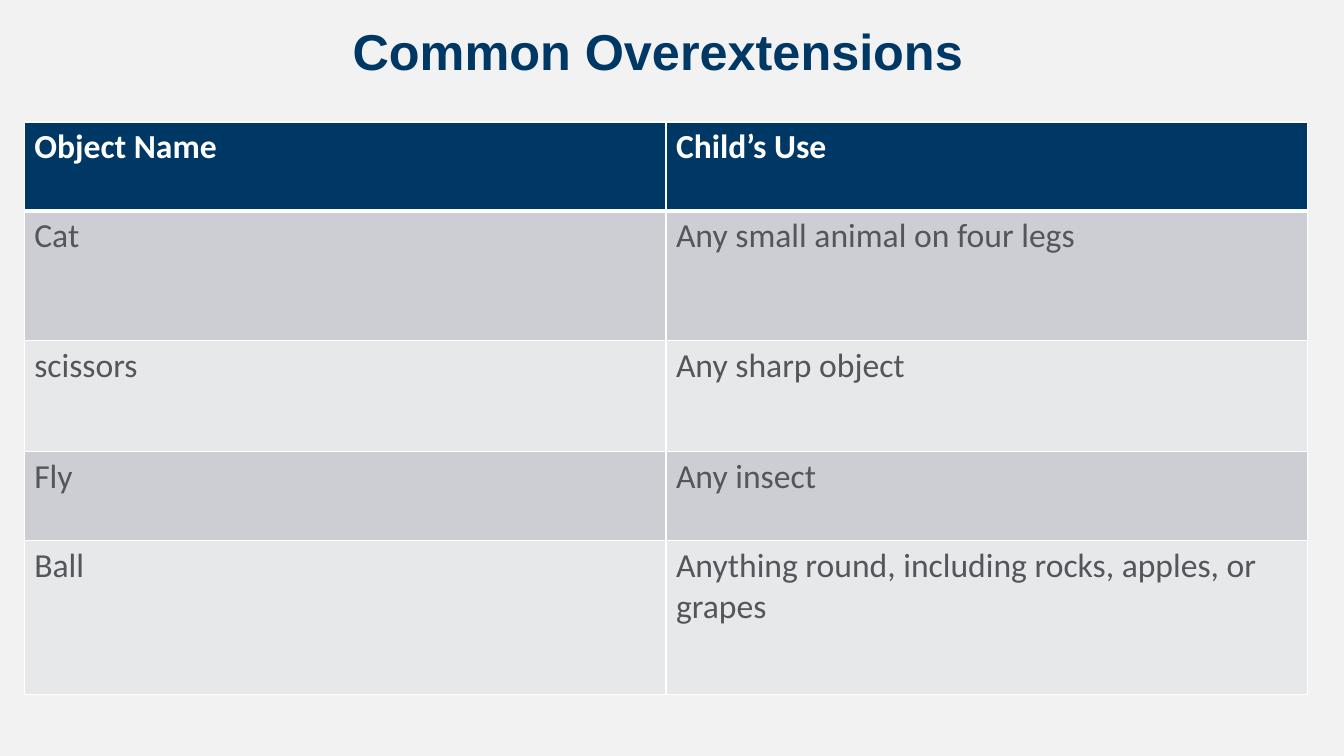
from lxml import etree
from pptx import Presentation
from pptx import util as u
from pptx.dml.color import RGBColor
from pptx.enum import text
from pptx.oxml import ns

NAVY = RGBColor(0x00, 0x38, 0x65)
WHITE = RGBColor(0xFF, 0xFF, 0xFF)
GREY_TEXT = RGBColor(0x53, 0x56, 0x5A)
DARK_BAND = RGBColor(0xCC, 0xCE, 0xD3)
LIGHT_BAND = RGBColor(0xE7, 0xE8, 0xEA)
BACKGROUND = RGBColor(0xF2, 0xF2, 0xF2)

OVEREXTENSIONS = [
    ("Object Name", "Child’s Use"),
    ("Cat", "Any small animal on four legs"),
    ("scissors", "Any sharp object"),
    ("Fly", "Any insect"),
    ("Ball", "Anything round, including rocks, apples, or grapes"),
]
ROW_HEIGHTS = [0.88, 1.29, 1.1, 0.88, 1.53]


def style_font(font, name, size, color, bold):
    font.name = name
    font.size = u.Pt(size)
    font.color.rgb = color
    font.bold = bold


def add_title(slide, left, top, width, height):
    title = slide.shapes.title
    title.left, title.top = u.Inches(left), u.Inches(top)
    title.width, title.height = u.Inches(width), u.Inches(height)
    frame = title.text_frame
    frame.text = "Common Overextensions"
    frame.word_wrap = True
    frame.auto_size = text.MSO_AUTO_SIZE.NONE
    frame.vertical_anchor = text.MSO_ANCHOR.TOP
    paragraph = frame.paragraphs[0]
    paragraph.alignment = text.PP_ALIGN.CENTER
    paragraph.line_spacing = 0.9
    style_font(paragraph.runs[0].font, "Arial", 36, NAVY, True)


def set_borders(cell, widths):
    properties = cell._tc.get_or_add_tcPr()
    for side, width in widths.items():
        line = etree.SubElement(properties, ns.qn(f"a:ln{side}"), w=str(u.Pt(width)))
        fill = etree.SubElement(line, ns.qn("a:solidFill"))
        etree.SubElement(fill, ns.qn("a:srgbClr"), val=str(WHITE))


def add_overextension_table(slide, left, top, width):
    rows, columns = len(OVEREXTENSIONS), len(OVEREXTENSIONS[0])
    table = slide.shapes.add_table(
        rows, columns, u.Inches(left), u.Inches(top),
        u.Inches(width), u.Inches(sum(ROW_HEIGHTS))).table
    for row_index, entries in enumerate(OVEREXTENSIONS):
        table.rows[row_index].height = u.Inches(ROW_HEIGHTS[row_index])
        is_header = row_index == 0
        band = DARK_BAND if row_index % 2 else LIGHT_BAND
        top_width = 3 if row_index == 1 else 1
        bottom_width = 3 if is_header else 1
        for column_index, entry in enumerate(entries):
            cell = table.cell(row_index, column_index)
            set_borders(cell, {"L": 1, "R": 1, "T": top_width, "B": bottom_width})
            cell.fill.solid()
            cell.fill.fore_color.rgb = NAVY if is_header else band
            cell.text_frame.text = entry
            font = cell.text_frame.paragraphs[0].runs[0].font
            style_font(font, "Calibri", 24, WHITE if is_header else GREY_TEXT, is_header)


def main():
    presentation = Presentation()
    presentation.slide_width = u.Inches(13.33)
    presentation.slide_height = u.Inches(7.5)
    slide = presentation.slides.add_slide(presentation.slide_layouts[5])
    slide.background.fill.solid()
    slide.background.fill.fore_color.rgb = BACKGROUND
    add_title(slide, 2.58, 0.22, 7.89, 1.15)
    add_overextension_table(slide, 0.24, 1.21, 12.73)
    presentation.save("out.pptx")


if __name__ == "__main__":
    main()
